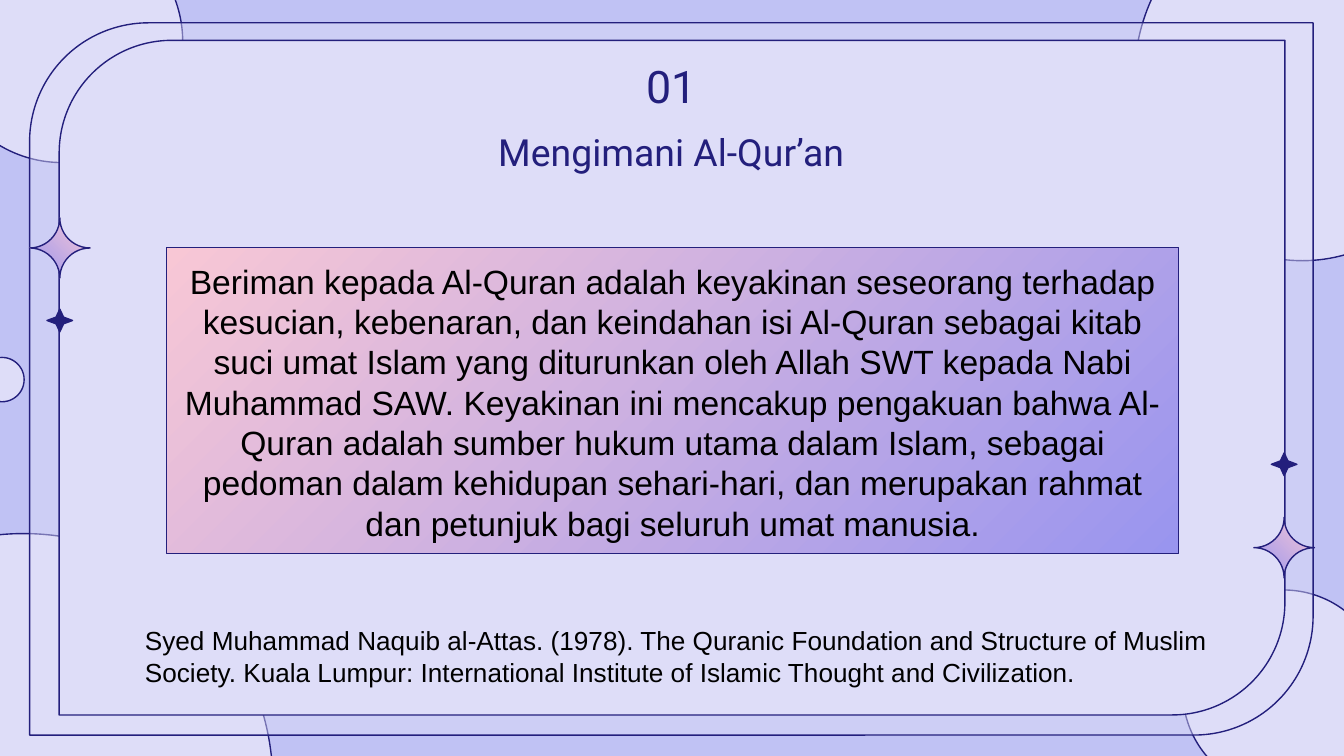
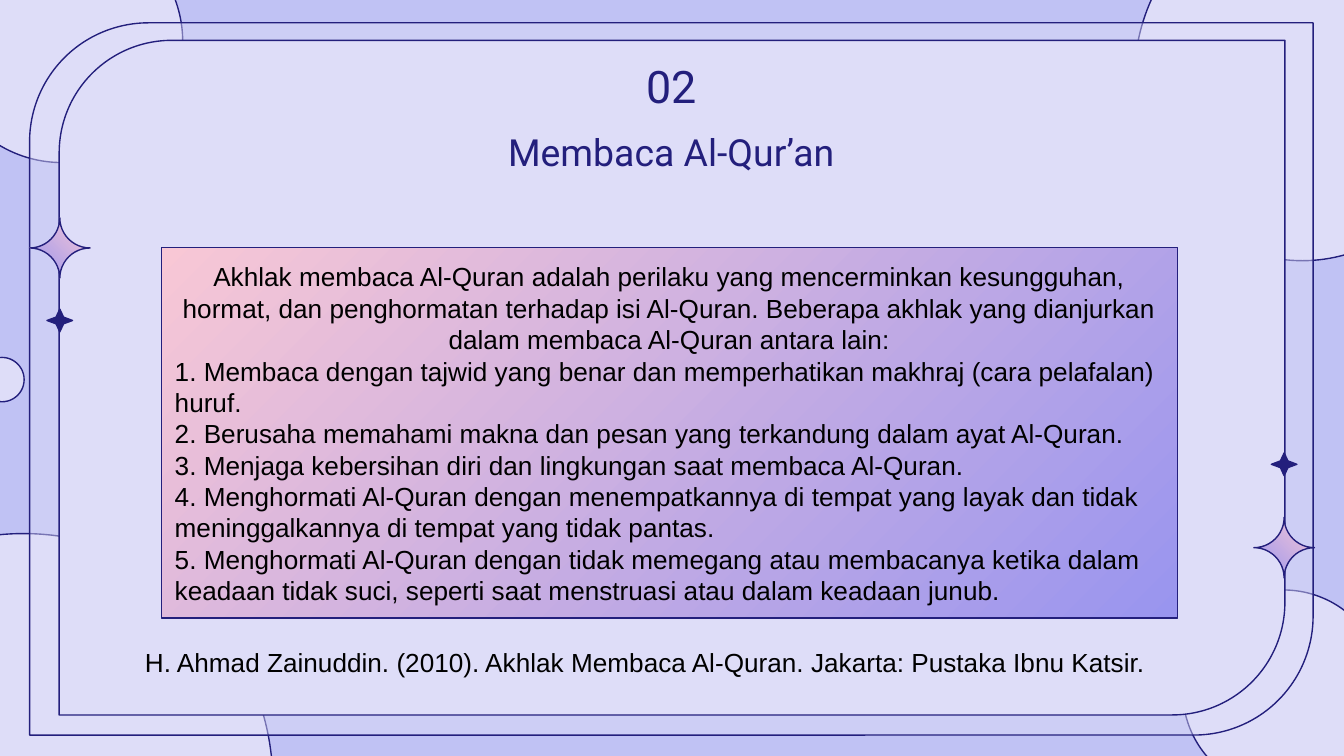
from collections import namedtuple

from lxml.etree import SubElement
from pptx import Presentation
from pptx.dml.color import RGBColor
from pptx.enum.shapes import MSO_SHAPE as Preset
from pptx.enum.text import MSO_ANCHOR as Anchor, MSO_AUTO_SIZE as AutoSize, PP_ALIGN as Align
from pptx.oxml.ns import qn
from pptx.util import Inches, Pt

NAVY = RGBColor(0x23, 0x1F, 0x7C)
LILAC = RGBColor(0xC0, 0xC2, 0xF4)
PALE = RGBColor(0xDE, 0xDD, 0xF8)
PINK = RGBColor(0xF8, 0xC7, 0xD5)
VIOLET = RGBColor(0x99, 0x95, 0xEF)
BLACK = RGBColor(0, 0, 0)
HEAD_FONT, BODY_FONT = "Roboto", "Arial"

Box = namedtuple("Box", "left top width height")
SLIDE_WIDTH = 10
SLIDE_HEIGHT = SLIDE_WIDTH * 9 / 16
FRAME = Box(0.22, 0.17, 9.55, 5.3)
HEADER = Box(2.84, 0.41, 4.31, 0.9)
CIRCLES = [
    Box(8.44, -0.76, 2.5, 2.7),
    Box(-0.44, -0.59, 1.8, 1.8),
    Box(-1.68, 3.97, 3.71, 3.71),
    Box(8.8, 4.39, 1.5, 1.5),
    Box(-0.15, 2.66, 0.33, 0.33),
]

TOPICS = [
    dict(
        number="01",
        heading="Mengimani Al-Qur’an",
        panel=Box(1.24, 1.84, 7.53, 2.28),
        size=18,
        intro="Beriman kepada Al-Quran adalah keyakinan seseorang terhadap kesucian, "
              "kebenaran, dan keindahan isi Al-Quran sebagai kitab suci umat Islam yang "
              "diturunkan oleh Allah SWT kepada Nabi Muhammad SAW. Keyakinan ini mencakup "
              "pengakuan bahwa Al-Quran adalah sumber hukum utama dalam Islam, sebagai "
              "pedoman dalam kehidupan sehari-hari, dan merupakan rahmat dan petunjuk "
              "bagi seluruh umat manusia.",
        points=[],
        reference="Syed Muhammad Naquib al-Attas. (1978). The Quranic Foundation and "
                  "Structure of Muslim Society. Kuala Lumpur: International Institute of "
                  "Islamic Thought and Civilization.",
        reference_box=Box(0.98, 4.6, 8.35, 0.57),
    ),
    dict(
        number="02",
        heading="Membaca Al-Qur’an",
        panel=Box(1.2, 1.84, 7.56, 2.76),
        size=14,
        intro="Akhlak membaca Al-Quran adalah perilaku yang mencerminkan kesungguhan, "
              "hormat, dan penghormatan terhadap isi Al-Quran. Beberapa akhlak yang "
              "dianjurkan dalam membaca Al-Quran antara lain:",
        points=[
            "Membaca dengan tajwid yang benar dan memperhatikan makhraj (cara pelafalan) huruf.",
            "Berusaha memahami makna dan pesan yang terkandung dalam ayat Al-Quran.",
            "Menjaga kebersihan diri dan lingkungan saat membaca Al-Quran.",
            "Menghormati Al-Quran dengan menempatkannya di tempat yang layak dan tidak "
            "meninggalkannya di tempat yang tidak pantas.",
            "Menghormati Al-Quran dengan tidak memegang atau membacanya ketika dalam "
            "keadaan tidak suci, seperti saat menstruasi atau dalam keadaan junub.",
        ],
        reference="H. Ahmad Zainuddin. (2010). Akhlak Membaca Al-Quran. Jakarta: "
                  "Pustaka Ibnu Katsir.",
        reference_box=Box(0.98, 4.76, 8.35, 0.34),
    ),
]


# Shared helpers
def inches(box):
    return [Inches(value) for value in box]


def place(shape, box):
    shape.left, shape.top, shape.width, shape.height = inches(box)


def outline(shape):
    shape.line.color.rgb = NAVY
    shape.line.width = Pt(0.75)


def fill_gradient(shape):
    shape.fill.gradient()
    shape.fill.gradient_angle = 315
    for stop, color in zip(shape.fill.gradient_stops, (PINK, VIOLET)):
        stop.color.rgb = color


def add_preset(page, preset, box, color=None, adjustment=None):
    """Add an outlined shape; without a colour it gets the gradient."""
    shape = page.shapes.add_shape(preset, *inches(box))
    shape.shadow.inherit = False
    outline(shape)
    if color is None:
        fill_gradient(shape)
    else:
        shape.fill.solid()
        shape.fill.fore_color.rgb = color
    if adjustment is not None:
        shape.adjustments[0] = adjustment
    return shape


def write(shape, lines, size, font, color, align, anchor=Anchor.TOP, inset=0.1):
    frame = shape.text_frame
    frame.word_wrap = True
    frame.auto_size = AutoSize.NONE
    frame.vertical_anchor = anchor
    frame.margin_left = frame.margin_right = Inches(0.1)
    frame.margin_top = frame.margin_bottom = Inches(inset)
    frame.text = "\n".join(lines)
    for para in frame.paragraphs:
        para.alignment = align
        para.space_before = Pt(0)
        para.font.size = Pt(size)
        para.font.name = font
        para.font.color.rgb = color
    return frame


# Backdrop, kept on the layout that both slides use
def build_backdrop(layout, page, box):
    layout.background.fill.solid()
    layout.background.fill.fore_color.rgb = LILAC
    parts = [add_preset(page, Preset.OVAL, circle, PALE) for circle in CIRCLES]
    inner = Box(box.left + 0.22, box.top + 0.13, box.width - 0.43, box.height - 0.28)
    panes = [add_preset(page, Preset.ROUND_2_DIAG_RECTANGLE, pane, PALE, 0.167)
             for pane in (box, inner)]
    tint = panes[0].fill._xPr.find(qn("a:solidFill"))[0]
    SubElement(tint, qn("a:alpha"), val="45000")
    for index, shape in enumerate(parts + panes):
        shape._element.nvSpPr.cNvPr.set("id", str(100 + index))
        layout.shapes._spTree.insert(2 + index, shape._element)


# Number above the heading
def build_header(page, box, number, heading):
    row = box.height / 2
    badge_width = 0.9
    badge = page.shapes.add_textbox(
        *inches((box.left + (box.width - badge_width) / 2, box.top, badge_width, row)))
    write(badge, [number], 24, HEAD_FONT, NAVY, Align.CENTER, Anchor.MIDDLE)
    title = page.shapes.title
    place(title, Box(box.left, box.top + row, box.width, row))
    write(title, [heading], 20, HEAD_FONT, NAVY, Align.CENTER)


# Gradient panel with the main text
def build_panel(page, box, intro, points, size):
    panel = page.placeholders[1]
    place(panel, box)
    fill_gradient(panel)
    outline(panel)
    lines = [intro] + [f"{rank}. {point}" for rank, point in enumerate(points, 1)]
    frame = write(panel, lines, size, BODY_FONT, BLACK, Align.LEFT)
    frame.paragraphs[0].alignment = Align.CENTER


# Sparkles on the left and right edges of the frame
def build_sparkles(page, box):
    right = box.left + box.width
    pairs = [(box.left, 1.45, 2.13), (right - 0.44, 3.68, 3.2)]
    for left, large_top, small_top in pairs:
        large = Box(left, box.top + large_top, 0.45, 0.45)
        small = Box(left + 0.13, box.top + small_top, 0.19, 0.17)
        for shape in (add_preset(page, Preset.PLAQUE, large, adjustment=0.5),
                      add_preset(page, Preset.STAR_4_POINT, small, NAVY, 0.209)):
            shape._element.spPr.xfrm.set("flipH", "1")


# Source line at the foot
def build_reference(page, box, text):
    note = page.shapes.add_textbox(*inches(box))
    frame = write(note, [text], 14, BODY_FONT, BLACK, Align.LEFT, inset=0.05)
    frame.auto_size = AutoSize.SHAPE_TO_FIT_TEXT


def build_topic(page, topic):
    build_header(page, HEADER, topic["number"], topic["heading"])
    build_panel(page, topic["panel"], topic["intro"], topic["points"], topic["size"])
    build_sparkles(page, FRAME)
    build_reference(page, topic["reference_box"], topic["reference"])


def main():
    deck = Presentation()
    deck.slide_width, deck.slide_height = Inches(SLIDE_WIDTH), Inches(SLIDE_HEIGHT)
    layout = deck.slide_layouts[0]
    pages = [deck.slides.add_slide(layout) for _ in TOPICS]
    build_backdrop(layout, pages[0], FRAME)
    for page, topic in zip(pages, TOPICS):
        build_topic(page, topic)
    deck.save("out.pptx")


if __name__ == "__main__":
    main()
